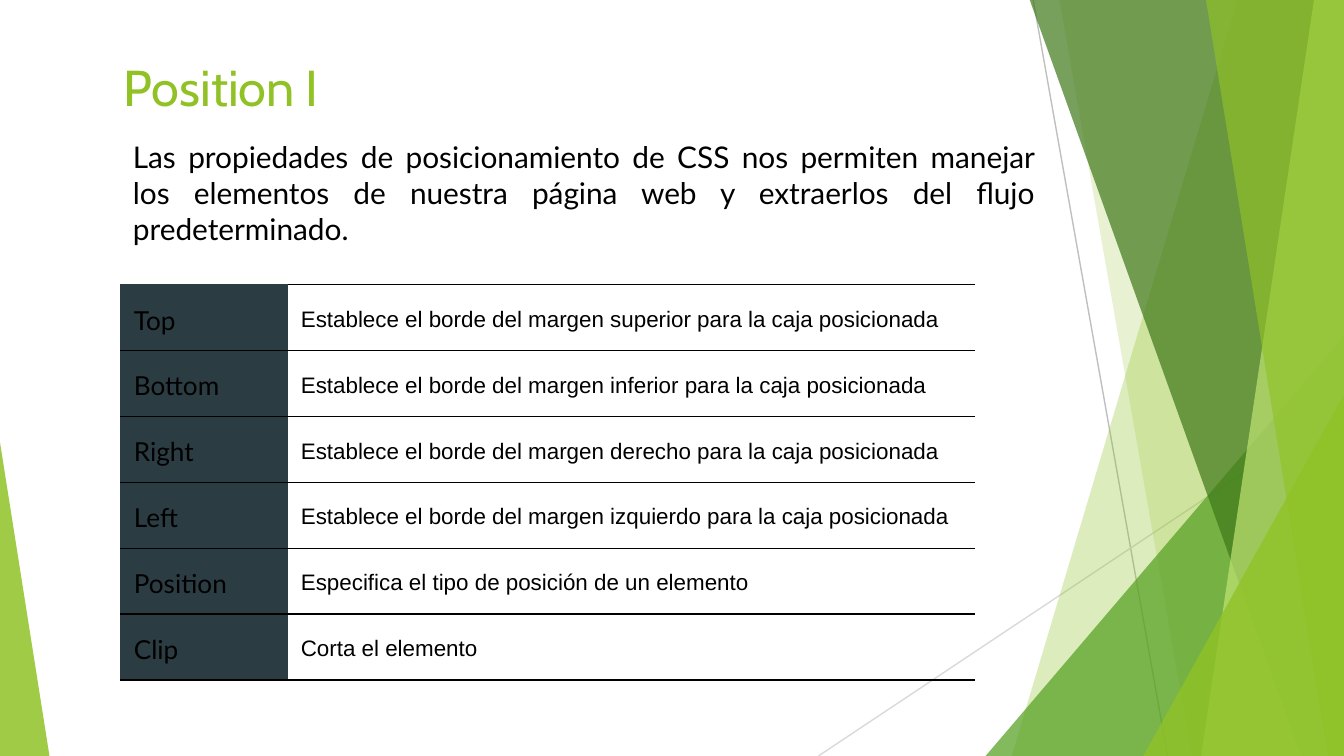
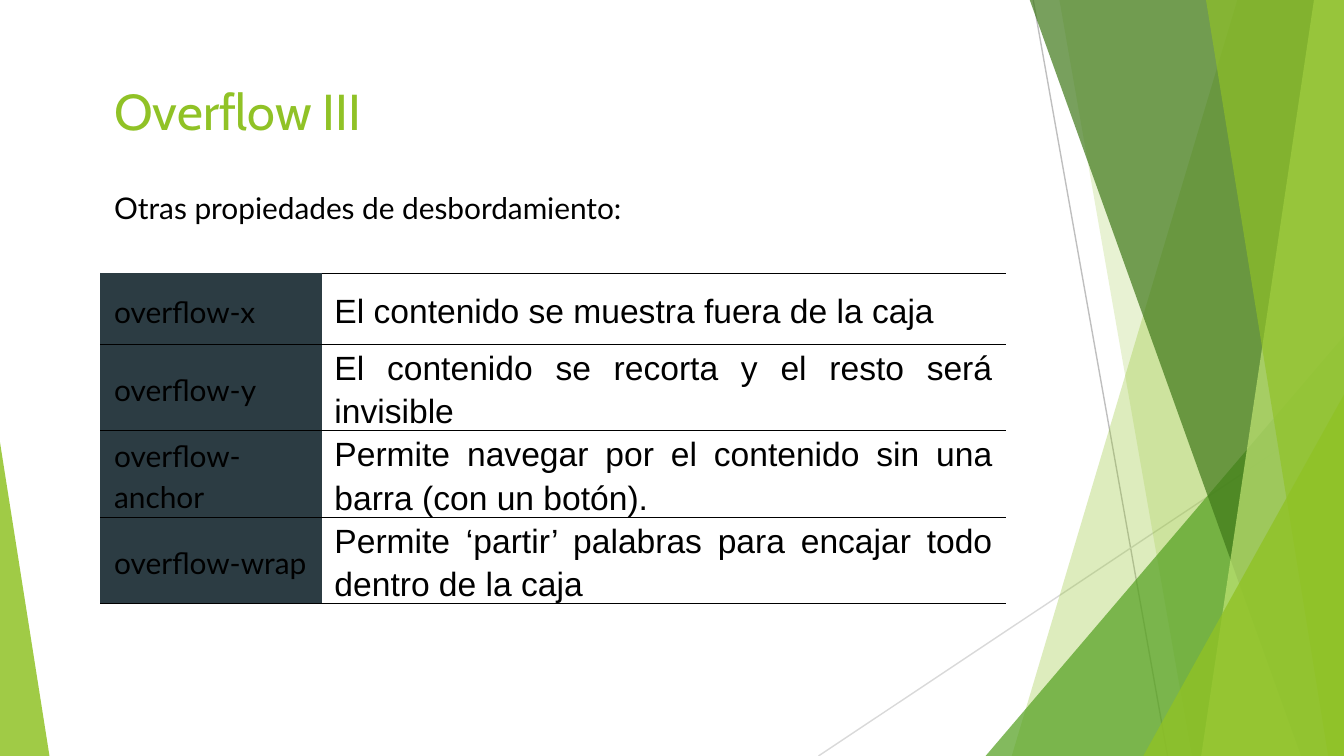
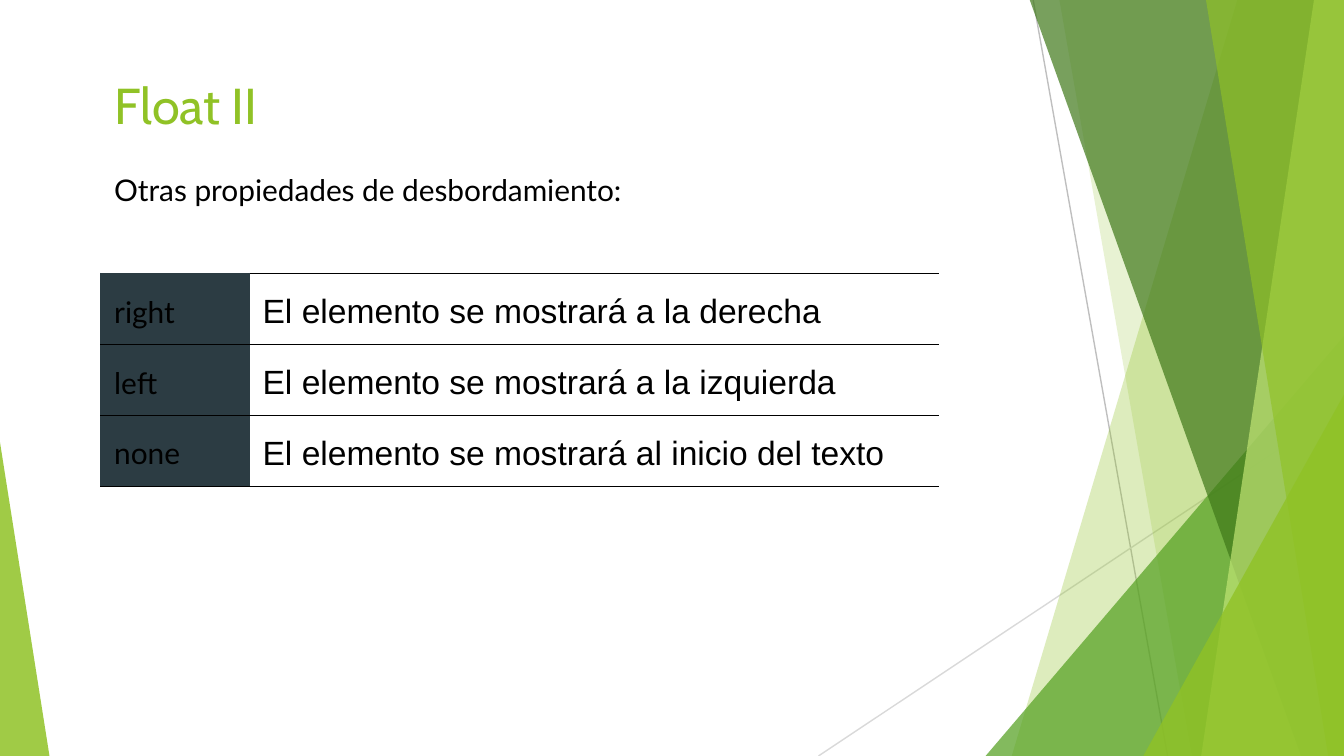
from dataclasses import dataclass

from lxml.etree import SubElement
from pptx import Presentation
from pptx.dml.color import RGBColor
from pptx.enum.shapes import MSO_CONNECTOR as Connector, MSO_SHAPE as Preset
from pptx.enum.text import MSO_ANCHOR as Anchor, MSO_AUTO_SIZE as AutoSize, PP_ALIGN as Align
from pptx.oxml.ns import qn
from pptx.util import Pt


@dataclass(frozen=True)
class Theme:
    width: float = 720
    height: float = 405
    inset: float = 7.2
    hairline: float = 0.75
    green: str = "90C226"
    leaf: str = "54A021"
    forest: str = "3F7819"
    lime: str = "C0E474"
    slate: str = "2C3C43"
    black: str = "000000"
    white: str = "FFFFFF"
    grey: str = "BFBFBF"
    light_grey: str = "D9D9D9"
    title_font: str = "Cabin"
    body_font: str = "Lato"
    table_font: str = "Arial"
    title_size: float = 27
    body_size: float = 16
    paragraph_gap: float = 16
    cell_spacing: float = 1.15


class Deck:
    def __init__(self, theme):
        self.theme = theme
        self.presentation = Presentation()
        self.presentation.slide_width = Pt(theme.width)
        self.presentation.slide_height = Pt(theme.height)
        self.layout = self.presentation.slide_layouts[0]
        self.slide = None

    def new_slide(self):
        first = self.slide is None
        self.slide = self.presentation.slides.add_slide(self.layout)
        if first:
            self.decorate_layout()

    def decorate_layout(self):
        t = self.theme
        self.line((553.5, 0), (625.5, t.height), t.grey)
        self.line((t.width, 217.5), (438.5, t.height), t.light_grey)
        self.facet(663, 542, t.green, 30)
        self.facet(567.5, 638.5, t.green, 20)
        self.triangle(528, 180, 192, 1, t.leaf, 72)
        self.facet(551.5, 697, t.forest, 70)
        self.facet(704, 643.5, t.lime, 70)
        self.facet(646, 711.5, t.green, 65)
        self.triangle(612.5, 211.5, 107.5, 1, t.green, 80)
        self.triangle(0, 237, 26.5, 0, t.green, 85)
        decorations = [s for s in self.slide.shapes if not s.is_placeholder]
        for number, decoration in enumerate(decorations, 100):
            decoration.element.xpath(".//p:cNvPr")[0].set("id", str(number))
            self.layout.shapes.element.append(decoration.element)

    def line(self, start, end, color):
        line = self.slide.shapes.add_connector(
            Connector.STRAIGHT, *(Pt(value) for value in (*start, *end)))
        line.line.color.rgb = RGBColor.from_string(color)
        line.line.width = Pt(self.theme.hairline)
        SubElement(line.element.spPr, qn("a:effectLst"))

    def facet(self, top_x, bottom_x, color, opacity):
        t = self.theme
        top = -0.5
        outline = self.slide.shapes.build_freeform(Pt(top_x), Pt(top))
        corners = ((t.width, top), (t.width, t.height), (bottom_x, t.height))
        outline.add_line_segments([(Pt(x), Pt(y)) for x, y in corners])
        self.paint(outline.convert_to_shape(), color, opacity)

    def triangle(self, left, top, width, apex, color, opacity):
        triangle = self.slide.shapes.add_shape(
            Preset.ISOSCELES_TRIANGLE, Pt(left), Pt(top), Pt(width),
            Pt(self.theme.height - top))
        triangle.adjustments[0] = apex
        self.paint(triangle, color, opacity)

    def paint(self, shape, color, opacity):
        shape.fill.solid()
        shape.fill.fore_color.rgb = RGBColor.from_string(color)
        tint = shape.element.spPr.find(qn("a:solidFill"))[0]
        SubElement(tint, qn("a:alpha")).set("val", str(opacity * 1000))
        shape.line.fill.background()
        shape.shadow.inherit = False

    def format_text(self, paragraph, font_name, size, color, align=Align.LEFT):
        paragraph.alignment = align
        paragraph.space_before = Pt(0)
        for run in paragraph.runs:
            run.font.size = Pt(size)
            run.font.bold = False
            run.font.color.rgb = RGBColor.from_string(color)
            run.font.name = font_name

    def place(self, placeholder, text, left, top, width, height):
        placeholder.left, placeholder.top = Pt(left), Pt(top)
        placeholder.width, placeholder.height = Pt(width), Pt(height)
        frame = placeholder.text_frame
        frame.text = text
        frame.word_wrap = True
        frame.auto_size = AutoSize.NONE
        frame.vertical_anchor = Anchor.TOP
        frame.margin_left = frame.margin_right = Pt(self.theme.inset)
        frame.margin_top = frame.margin_bottom = Pt(self.theme.inset)
        return frame.paragraphs[0]

    def title(self, text, left, top):
        t = self.theme
        heading = self.place(self.slide.shapes.title, text, left, top, 607.5, 43)
        self.format_text(heading, t.title_font, t.title_size, t.green)

    def intro(self, text, left, top, width, height, align=Align.LEFT):
        t = self.theme
        intro = self.place(self.slide.placeholders[1], text, left, top, width, height)
        self.format_text(intro, t.body_font, t.body_size, t.black, align)
        intro.space_after = Pt(t.paragraph_gap)
        for run in intro.runs:
            fill = run.font.element.find(qn("a:solidFill")) if hasattr(
                run.font, "element") else run.text and intro.runs[0]._r.rPr.find(qn("a:solidFill"))
            highlight = SubElement(fill.getparent(), qn("a:highlight"))
            SubElement(highlight, qn("a:srgbClr")).set("val", t.white)
            fill.addnext(highlight)

    def table(self, entries, left, top, columns, row_height, term_size,
              meaning_size, align=Align.LEFT):
        t = self.theme
        table = self.slide.shapes.add_table(
            len(entries), len(columns), Pt(left), Pt(top), Pt(sum(columns)),
            Pt(row_height * len(entries))).table
        table.first_row = table.horz_banding = False
        for column, width in zip(table.columns, columns):
            column.width = Pt(width)
        for index, (term, meaning) in enumerate(entries):
            table.rows[index].height = Pt(row_height)
            term_cell, meaning_cell = table.cell(index, 0), table.cell(index, 1)
            term_top = t.black if index else t.slate
            self.borders(term_cell, L=t.slate, R=t.slate, T=term_top, B=t.black)
            self.borders(meaning_cell, L=t.slate, R=None, T=t.black, B=t.black)
            term_cell.fill.solid()
            term_cell.fill.fore_color.rgb = RGBColor.from_string(t.slate)
            meaning_cell.fill.background()
            self.cell_text(term_cell, term, t.body_font, term_size)
            description = self.cell_text(
                meaning_cell, meaning, t.table_font, meaning_size, align)
            description.space_after = Pt(t.paragraph_gap)

    def cell_text(self, cell, text, font_name, size, align=Align.LEFT):
        cell.text_frame.text = text
        cell.vertical_anchor = Anchor.MIDDLE
        cell.margin_left = cell.margin_right = Pt(self.theme.inset)
        cell.margin_top = cell.margin_bottom = Pt(0)
        paragraph = cell.text_frame.paragraphs[0]
        self.format_text(paragraph, font_name, size, self.theme.black, align)
        paragraph.line_spacing = self.theme.cell_spacing
        return paragraph

    def borders(self, cell, **colors):
        properties = cell._tc.get_or_add_tcPr()
        for side, color in colors.items():
            edge = SubElement(properties, qn(f"a:ln{side}"))
            if color is None:
                SubElement(edge, qn("a:noFill"))
                continue
            edge.set("w", str(Pt(self.theme.hairline)))
            fill = SubElement(edge, qn("a:solidFill"))
            SubElement(fill, qn("a:srgbClr")).set("val", color)

    def save(self):
        self.presentation.save("out.pptx")


def position_slide(deck):
    deck.new_slide()
    deck.title("Position I", 59, 23)
    deck.intro(
        "Las propiedades de posicionamiento de CSS nos permiten manejar los "
        "elementos de nuestra página web y extraerlos del flujo predeterminado.",
        64, 67, 498, 75.5, Align.JUSTIFY)
    margin = "Establece el borde del margen {} para la caja posicionada"
    sides = {"Top": "superior", "Bottom": "inferior",
             "Right": "derecho", "Left": "izquierdo"}
    entries = [(term, margin.format(side)) for term, side in sides.items()]
    entries += [("Position", "Especifica el tipo de posición de un elemento"),
                ("Clip", "Corta el elemento")]
    deck.table(entries, 64.5, 152.5, (89.5, 368.5), 35.3, 14, 12)


def overflow_slide(deck):
    deck.new_slide()
    deck.title("Overflow III", 54, 35.5)
    deck.intro("Otras propiedades de desbordamiento:", 54, 94.5, 597, 52.5)
    entries = [
        ("overflow-x", "El contenido se muestra fuera de la caja"),
        ("overflow-y", "El contenido se recorta y el resto será invisible"),
        ("overflow-anchor",
         "Permite navegar por el contenido sin una barra (con un botón)."),
        ("overflow-wrap",
         "Permite ‘partir’ palabras para encajar todo dentro de la caja"),
    ]
    deck.table(entries, 54, 146.5, (118, 367), 38, 16, 18, Align.JUSTIFY)


def float_slide(deck):
    deck.new_slide()
    deck.title("Float II", 54, 32.5)
    deck.intro("Otras propiedades de desbordamiento:", 54, 85, 597, 52.5)
    places = {"right": "a la derecha", "left": "a la izquierda",
              "none": "al inicio del texto"}
    entries = [(term, f"El elemento se mostrará {place}")
               for term, place in places.items()]
    deck.table(entries, 54, 146.5, (79.5, 369.5), 38, 16, 18)


def main():
    deck = Deck(Theme())
    position_slide(deck)
    overflow_slide(deck)
    float_slide(deck)
    deck.save()


if __name__ == "__main__":
    main()
